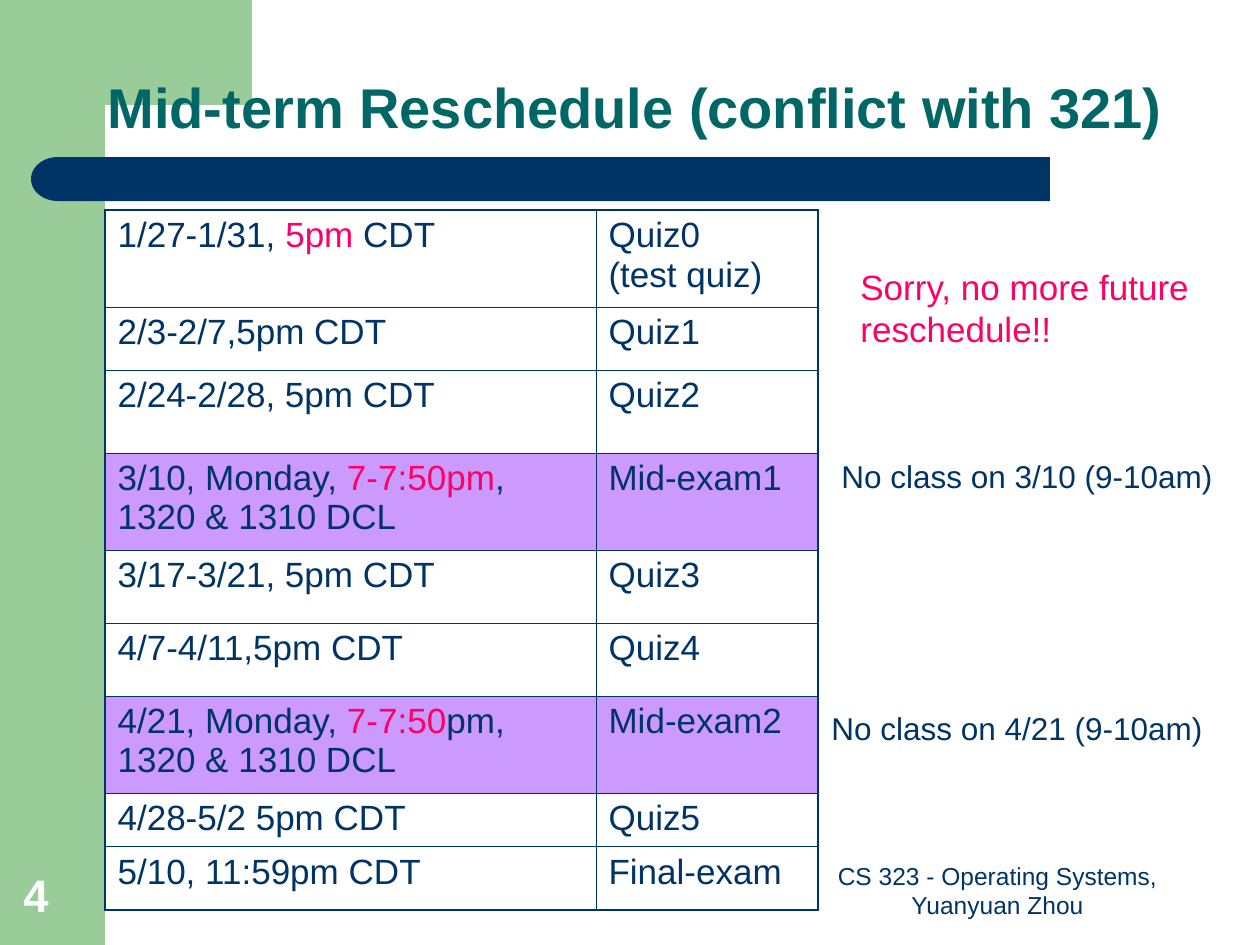
from lxml import etree
from pptx import Presentation
from pptx import util as u
from pptx.dml.color import RGBColor
from pptx.enum import shapes, text
from pptx.oxml.ns import qn

THEME = {
    "font": "Arial", "green": "99CC99", "navy": "003366", "teal": "006666",
    "pink": "FF0066", "lilac": "CC99FF", "white": "FFFFFF",
    "title": 32, "body": 20, "note": 18, "foot": 14, "page": 26,
    "thin": 0.45, "thick": 1.08,
}
TOP, MID, BASE = text.MSO_ANCHOR.TOP, text.PP_ALIGN.CENTER, text.MSO_ANCHOR.BOTTOM
LEFT = text.PP_ALIGN.LEFT

# Row height, date runs (text, colour), event, fill
ROWS = [
    (97, [("1/27-1/31, ", "navy"), ("5pm", "pink"), (" CDT", "navy")], "Quiz0\v(test quiz)", None),
    (63, [("2/3-2/7,5pm CDT", "navy")], "Quiz1", None),
    (83, [("2/24-2/28, 5pm CDT", "navy")], "Quiz2", None),
    (97, [("3/10, Monday, ", "navy"), ("7-7:50pm", "pink"), (", 1320 & 1310 DCL", "navy")],
     "Mid-exam1", "lilac"),
    (73, [("3/17-3/21, 5pm CDT", "navy")], "Quiz3", None),
    (73, [("4/7-4/11,5pm CDT", "navy")], "Quiz4", None),
    (97, [("4/21, Monday, ", "navy"), ("7-7:50", "pink"), ("pm, 1320 & 1310 DCL", "navy")],
     "Mid-exam2", "lilac"),
    (54, [("4/28-5/2 5pm CDT", "navy")], "Quiz5", None),
    (63, [("5/10, 11:59pm CDT", "navy")], "Final-exam", None),
]
COLS = [491, 222]
GRID = (105, 210)

# Box, lines, size, colour, format
TEXTS = [
    ((52, 10, 1167, 137), ["Mid-term Reschedule (conflict with 321)"], "title", "teal",
     {"bold": True, "anchor": BASE, "align": MID, "pitch": 0.9}),
    ((848, 259, 381, 139), ["Sorry, no more future", "reschedule!!"], "body", "pink", {}),
    ((829, 451, 396, 50), ["No class on 3/10 (9-10am)"], "note", "navy", {"wrap": False}),
    ((819, 703, 396, 50), ["No class on 4/21 (9-10am)"], "note", "navy", {"wrap": False}),
    ((798, 861, 399, 65), ["CS 323 - Operating Systems, Yuanyuan Zhou"], "foot", "navy",
     {"anchor": BASE, "align": MID}),
    ((11, 861, 81, 67), ["4"], "page", "white", {"bold": True, "anchor": BASE}),
]

BAR = (0, 0, 105, 945)
CORNER = [(63, 0), (252, 0), (252, 105), (105, 105), (97, 107), (89, 116),
          (86, 131), (84, 146), (84, 161), (63, 161)]
RULE = (84, 157, 966, 44)
CAP = (31, 157, 54, 44)


def px(n):
    return u.Emu(round(n * 914400 / 126))


def rgb(name):
    return RGBColor.from_string(THEME[name])


def paint(shape, tint):
    shape.shadow.inherit = False
    shape.fill.solid()
    shape.fill.fore_color.rgb = rgb(tint)
    shape.line.fill.background()
    return shape


def write(para, runs, size, bold=False):
    for words, tint in runs:
        for i, part in enumerate(words.split("\v")):
            if i:
                para.add_line_break()
            run = para.add_run()
            run.text = part
            look = {"name": THEME["font"], "size": u.Pt(THEME[size]), "bold": bold}
            for key, val in look.items():
                setattr(run.font, key, val)
            run.font.color.rgb = rgb(tint)


def add_text(slide, box, lines, size, tint, form):
    frame = slide.shapes.add_textbox(*map(px, box)).text_frame
    frame.word_wrap = form.get("wrap", True)
    frame.vertical_anchor = form.get("anchor", TOP)
    for i, line in enumerate(lines):
        para = frame.add_paragraph() if i else frame.paragraphs[0]
        para.alignment = form.get("align", LEFT)
        if "pitch" in form:
            para.line_spacing = form["pitch"]
        write(para, [(line, tint)], size, form.get("bold", False))


def edge(cell, outer):
    """Draw the four cell borders, thick on the sides listed in outer."""
    props = cell._tc.get_or_add_tcPr()
    for i, side in enumerate("LRTB"):
        width = THEME["thick" if side in outer else "thin"]
        line = etree.Element(qn("a:ln" + side), w=str(int(u.Pt(width))))
        fill = etree.SubElement(line, qn("a:solidFill"))
        etree.SubElement(fill, qn("a:srgbClr"), val=THEME["navy"])
        props.insert(i, line)


def add_grid(slide):
    high = [row[0] for row in ROWS]
    size = (sum(COLS), sum(high))
    grid = slide.shapes.add_table(len(ROWS), len(COLS), *map(px, GRID + size)).table
    grid.first_row = grid.horz_banding = False
    for col, wide in zip(grid.columns, COLS):
        col.width = px(wide)
    for r, (tall, date, event, tint) in enumerate(ROWS):
        grid.rows[r].height = px(tall)
        ends = ("T" if r == 0 else "") + ("B" if r == len(ROWS) - 1 else "")
        for c, runs in enumerate([date, [(event, "navy")]]):
            cell = grid.cell(r, c)
            if tint:
                cell.fill.solid()
                cell.fill.fore_color.rgb = rgb(tint)
            else:
                cell.fill.background()
            write(cell.text_frame.paragraphs[0], runs, "body")
            edge(cell, ends + "LR"[c])


def main():
    deck = Presentation()
    deck.slide_width, deck.slide_height = px(1260), px(945)
    slide = deck.slides.add_slide(deck.slide_layouts[6])
    kind = shapes.MSO_SHAPE
    add = slide.shapes.add_shape
    paint(add(kind.RECTANGLE, *map(px, BAR)), "green")
    path = slide.shapes.build_freeform(*CORNER[0], scale=914400 / 126)
    path.add_line_segments(CORNER[1:], close=True)
    paint(path.convert_to_shape(), "green")
    rule = paint(add(kind.ROUNDED_RECTANGLE, *map(px, RULE)), "navy")
    rule.adjustments[0] = 0
    cap = paint(add(kind.FLOWCHART_DELAY, *map(px, CAP)), "navy")
    cap._element.spPr.find(qn("a:xfrm")).set("flipH", "1")
    add_grid(slide)
    for item in TEXTS:
        add_text(slide, *item)
    deck.save("out.pptx")


if __name__ == "__main__":
    main()
